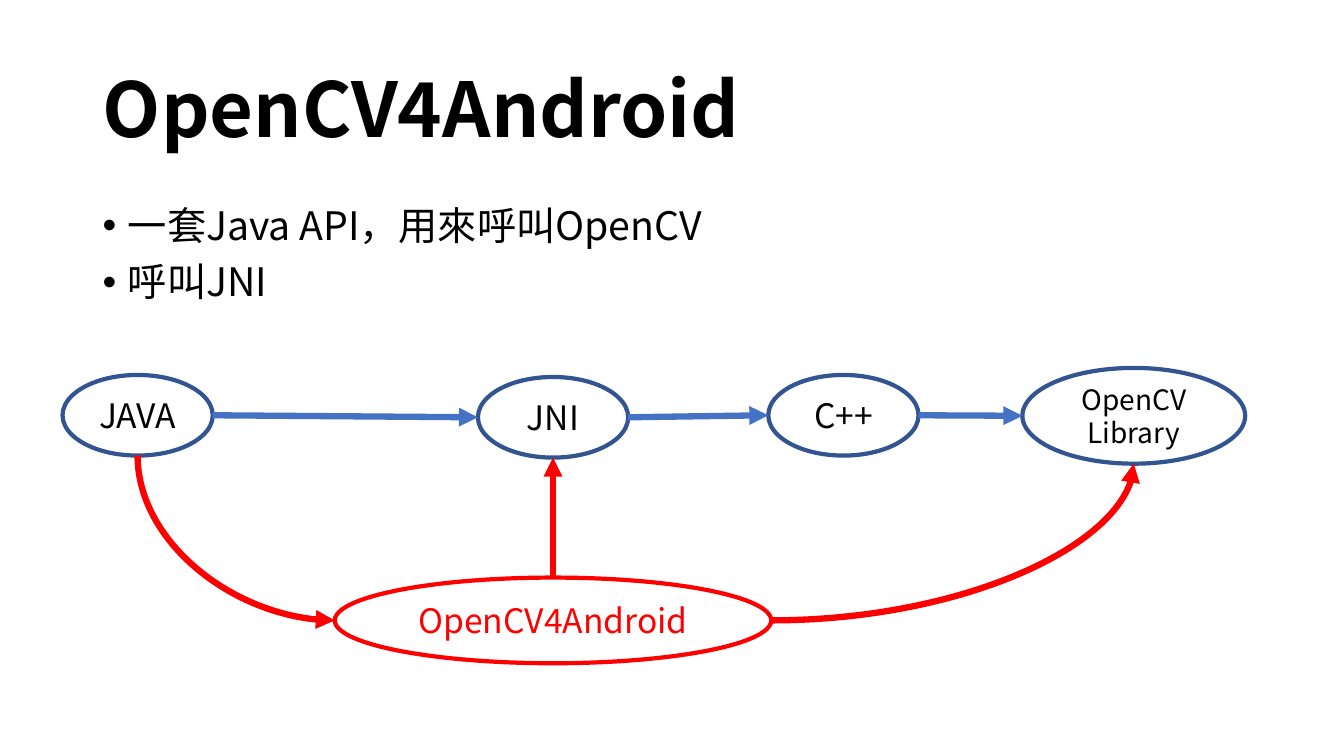
"""Build the OpenCV4Android call-flow slide on a grid of tenth-inch columns and rows."""
from dataclasses import dataclass
from itertools import pairwise

from lxml.etree import SubElement
from pptx import Presentation
from pptx.dml.color import RGBColor
from pptx.enum.shapes import MSO_CONNECTOR, MSO_SHAPE
from pptx.enum.text import MSO_ANCHOR, MSO_AUTO_SIZE, PP_ALIGN
from pptx.oxml.ns import qn
from pptx.util import Inches, Pt


@dataclass(frozen=True)
class Theme:
    font: str = "Noto Sans CJK SC"
    ink: RGBColor = RGBColor(0, 0, 0)
    outline: RGBColor = RGBColor(0x32, 0x54, 0x91)
    arrow: RGBColor = RGBColor(0x44, 0x72, 0xC4)
    accent: RGBColor = RGBColor(255, 0, 0)
    title: int = 54
    body: int = 28
    label: int = 24
    small_label: int = 20
    outline_width: float = 3
    arrow_width: float = 4.5


theme = Theme()
cell = Inches(0.1)


def style_text(frame, size, color, alignment, bold=False):
    frame.word_wrap = True
    frame.auto_size = MSO_AUTO_SIZE.NONE
    for para in frame.paragraphs:
        para.alignment = alignment
        for span in para.runs:
            span.font.name = theme.font
            span.font.size = Pt(size)
            span.font.bold = bold
            span.font.color.rgb = color
            SubElement(span.font._element, qn("a:ea"), typeface=theme.font)


def add_arrow(kind, start, end, color):
    arrow = page.shapes.add_connector(kind, *(round(length) for length in (*start, *end)))
    arrow.line.color.rgb = color
    arrow.line.width = Pt(theme.arrow_width)
    SubElement(arrow.line._get_or_add_ln(), qn("a:tailEnd"), type="triangle")
    SubElement(arrow._element.spPr, qn("a:effectLst"))
    return arrow


deck = Presentation()
deck.slide_width, deck.slide_height = Inches(13.33), Inches(7.5)
page = deck.slides.add_slide(deck.slide_layouts[5])

title = page.shapes.title
title.left, title.top, title.width, title.height = (round(n * cell) for n in (9.2, 4, 115, 14.5))
title.text_frame.text = "OpenCV4Android"
title.text_frame.vertical_anchor = MSO_ANCHOR.MIDDLE
title.text_frame.paragraphs[0].line_spacing = 0.9
style_text(title.text_frame, theme.title, theme.ink, PP_ALIGN.LEFT, bold=True)

box = page.shapes.add_textbox(*(round(n * cell) for n in (9.2, 20, 74.5, 14.6)))
box.text_frame.text = "一套Java API，用來呼叫OpenCV\n呼叫JNI"
style_text(box.text_frame, theme.body, theme.ink, PP_ALIGN.LEFT)
for para in box.text_frame.paragraphs:
    para.line_spacing = 0.9
    para.space_before = Pt(10)
    properties = para._p.get_or_add_pPr()
    properties.set("marL", str(Inches(0.25)))
    properties.set("indent", str(-Inches(0.25)))
    SubElement(properties, qn("a:buFont"), typeface="Arial")
    SubElement(properties, qn("a:buChar"), char="•")

stages = [
    ("JAVA", (6.2, 37.2, 14.9, 8), theme.label, theme.outline, theme.ink),
    ("JNI", (47.4, 37.4, 14.9, 8), theme.label, theme.outline, theme.ink),
    ("C++", (76.2, 37.2, 14.9, 8), theme.label, theme.outline, theme.ink),
    ("OpenCV Library", (101.4, 36.5, 22.1, 9.5), theme.small_label, theme.outline, theme.ink),
    ("OpenCV4Android", (33.2, 57.3, 43.3, 8.5), theme.label, theme.accent, theme.accent),
]
ovals = []
for label, place, size, outline, ink in stages:
    oval = page.shapes.add_shape(MSO_SHAPE.OVAL, *(round(n * cell) for n in place))
    oval.shadow.inherit = False
    oval.fill.background()
    oval.line.color.rgb = outline
    oval.line.width = Pt(theme.outline_width)
    oval.text_frame.text = label
    oval.text_frame.vertical_anchor = MSO_ANCHOR.MIDDLE
    style_text(oval.text_frame, size, ink, PP_ALIGN.CENTER)
    ovals.append(oval)

java, jni, cpp, library, wrapper = ovals
for source, target in pairwise((java, jni, cpp, library)):
    start = source.left + source.width, source.top + source.height / 2
    end = target.left, target.top + target.height / 2
    add_arrow(MSO_CONNECTOR.STRAIGHT, start, end, theme.arrow)

center = wrapper.left + wrapper.width / 2
middle = wrapper.top + wrapper.height / 2
add_arrow(MSO_CONNECTOR.STRAIGHT, (center, wrapper.top), (center, jni.top + jni.height), theme.accent)

java_center, java_bottom = java.left + java.width / 2, java.top + java.height
across, down = wrapper.left - java_center, middle - java_bottom
turn_x, turn_y = java_center + across / 2, java_bottom + down / 2
to_wrapper = add_arrow(
    MSO_CONNECTOR.CURVE,
    (turn_x + down / 2, turn_y - across / 2),
    (turn_x - down / 2, turn_y + across / 2),
    theme.accent,
)
to_wrapper._element.spPr.find(qn("a:xfrm")).set("rot", str(270 * 60000))

to_library = add_arrow(
    MSO_CONNECTOR.CURVE,
    (wrapper.left + wrapper.width, middle),
    (library.left + library.width / 2, library.top + library.height),
    theme.accent,
)
for curve in (to_wrapper, to_library):
    curve._element.spPr.find(qn("a:prstGeom")).set("prst", "curvedConnector2")

deck.save("out.pptx")
